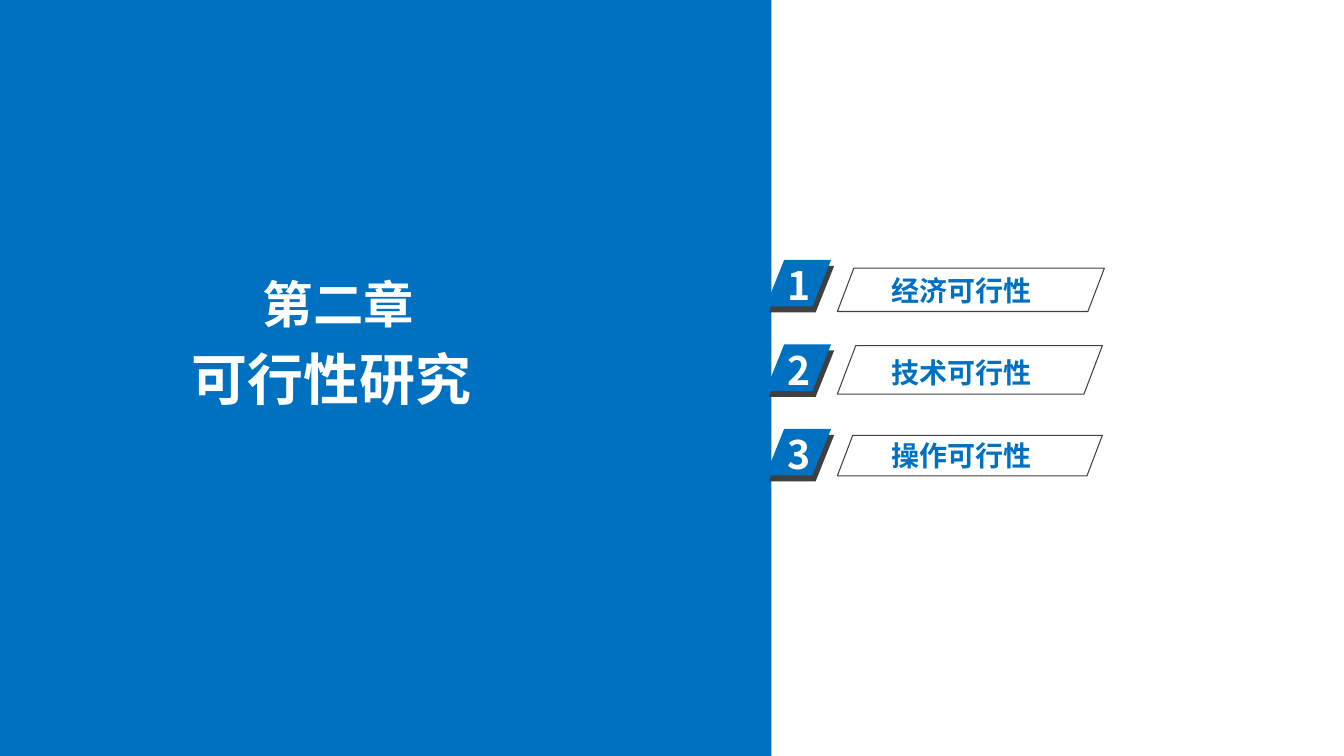
from lxml import etree
from pptx import Presentation
from pptx.dml.color import RGBColor
from pptx.enum.shapes import MSO_SHAPE
from pptx.enum.text import MSO_ANCHOR, MSO_AUTO_SIZE, PP_ALIGN
from pptx.oxml.ns import qn
from pptx.util import Cm, Pt

PARALLELOGRAM, RECTANGLE = MSO_SHAPE.PARALLELOGRAM, MSO_SHAPE.RECTANGLE
TOP, NO_FIT = MSO_ANCHOR.TOP, MSO_AUTO_SIZE.NONE
LEFT, CENTER = PP_ALIGN.LEFT, PP_ALIGN.CENTER

FONT = "Noto Sans CJK SC"
COLORS = {"blue": "0070C0", "dark": "404040", "white": "FFFFFF"}
TITLE_ONLY = 5

# Topic, then top, width and height of its frame in cm
TOPICS = [
    ("经济可行性", 6.76, 6.73, 1.09),
    ("技术可行性", 8.71, 6.68, 1.22),
    ("操作可行性", 10.97, 6.68, 1.02),
]
BADGE_TOP, BADGE_PITCH = 6.55, 2.13
LABEL_TOP, LABEL_PITCH = 6.76, 2.08


def color(name):
    return RGBColor.from_string(COLORS[name])


def place(shape, left, top, width, height):
    shape.left, shape.top = Cm(left), Cm(top)
    shape.width, shape.height = Cm(width), Cm(height)


def write(shape, text, size, ink="white", align=LEFT):
    frame = shape.text_frame
    frame.word_wrap = True
    frame.auto_size = NO_FIT
    frame.vertical_anchor = TOP
    frame.text = text
    paragraph = frame.paragraphs[0]
    paragraph.alignment = align
    font = paragraph.runs[0].font
    font.name, font.size, font.bold = FONT, Pt(size), True
    font.color.rgb = color(ink)
    # East Asian characters take their own typeface
    run_format = paragraph.runs[0]._r.get_or_add_rPr()
    etree.SubElement(run_format, qn("a:ea")).set("typeface", FONT)


def add_text(shapes, box, text, **style):
    write(shapes.add_textbox(*map(Cm, box)), text, **style)


def add_block(shapes, kind, box, fill=None, line=None, slant=None):
    block = shapes.add_shape(kind, *map(Cm, box))
    block.shadow.inherit = False
    if slant is not None:
        block.adjustments[0] = slant
    if fill:
        block.fill.solid()
        block.fill.fore_color.rgb = color(fill)
    else:
        block.fill.background()
    if line:
        block.line.color.rgb = color(line)
        block.line.width = Pt(0.75)
    else:
        block.line.fill.background()
    return block


def add_badge(slide, number, top):
    badge = slide.shapes.add_group_shape().shapes
    add_block(badge, PARALLELOGRAM, (19.38, top + 0.15, 1.65, 1.17), fill="dark", slant=0.4)
    add_block(badge, PARALLELOGRAM, (19.3, top, 1.65, 1.17), fill="blue", slant=0.4)
    add_text(badge, (19.61, top - 0.08, 1.75, 1.45), str(number), size=28)


def main():
    deck = Presentation()
    deck.slide_width, deck.slide_height = Cm(33.88), Cm(19.05)
    slide = deck.slides.add_slide(deck.slide_layouts[TITLE_ONLY])

    # Blue panel behind the chapter title
    title = slide.shapes.title
    panel = add_block(slide.shapes, RECTANGLE, (0, 0, 19.45, 19.05), fill="blue")
    title.element.addprevious(panel.element)

    # Chapter number and title
    add_text(slide.shapes, (6.38, 6.76, 4.6, 1.78), "第二章", size=36)
    place(title, 3.56, 8.56, 9.58, 1.96)
    write(title, "可行性研究", size=40, align=CENTER)

    # Numbered topics
    for index, (topic, top, width, height) in enumerate(TOPICS):
        add_badge(slide, index + 1, BADGE_TOP + index * BADGE_PITCH)
        add_block(slide.shapes, PARALLELOGRAM, (21.11, top, width, height), line="dark", slant=0.38)
        label_box = (22.23, LABEL_TOP + index * LABEL_PITCH, 7.7, 1.12)
        add_text(slide.shapes, label_box, topic, size=20, ink="blue")

    deck.save("out.pptx")


if __name__ == "__main__":
    main()
